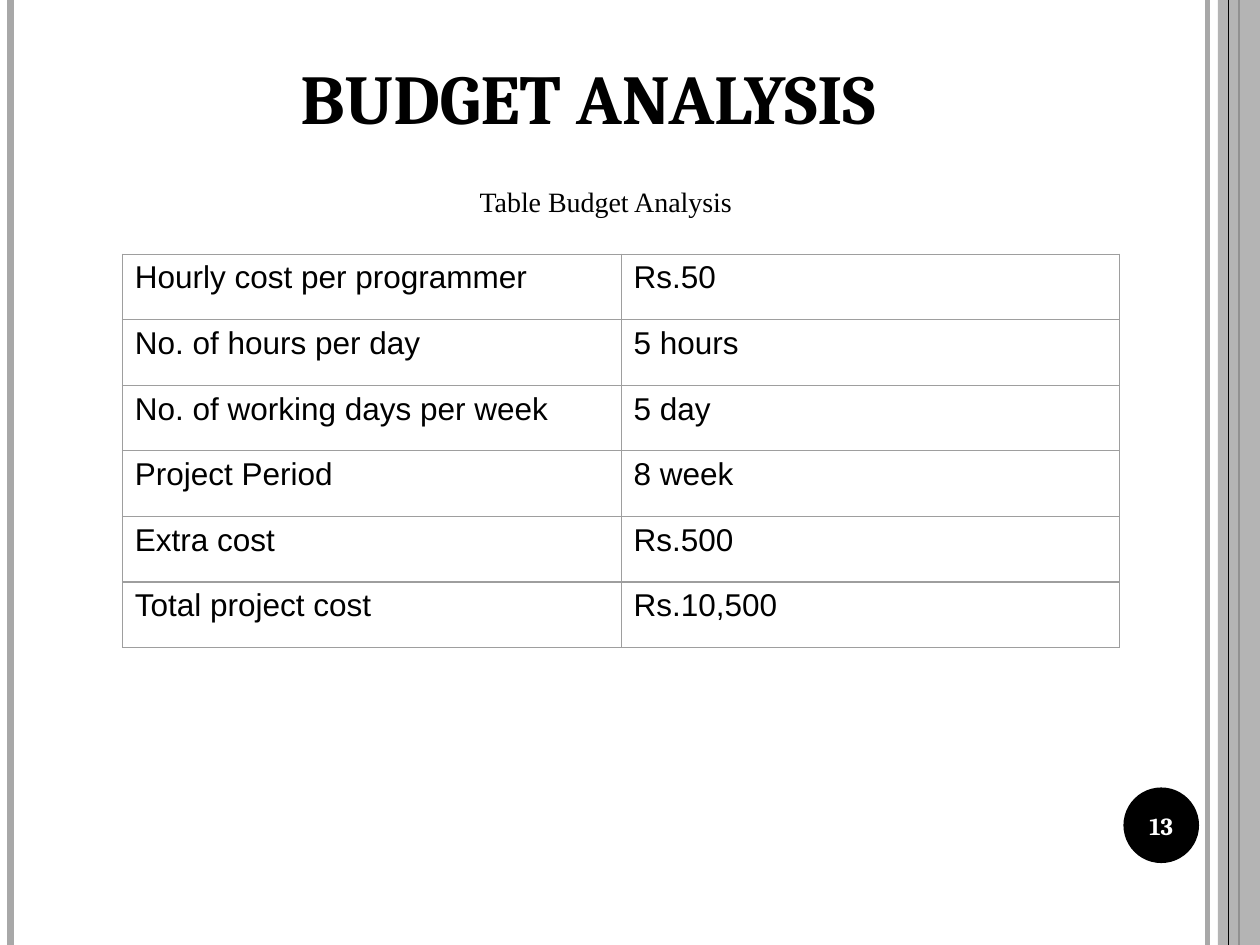
from dataclasses import dataclass

from lxml import etree
from pptx import Presentation
from pptx.dml.color import RGBColor
from pptx.enum.shapes import MSO_CONNECTOR, MSO_SHAPE
from pptx.enum.text import MSO_ANCHOR, PP_ALIGN
from pptx.oxml.ns import qn
from pptx.util import Inches, Pt

STRAIGHT = MSO_CONNECTOR.STRAIGHT
RECTANGLE, OVAL = MSO_SHAPE.RECTANGLE, MSO_SHAPE.OVAL
TOP, MIDDLE, BOTTOM = MSO_ANCHOR.TOP, MSO_ANCHOR.MIDDLE, MSO_ANCHOR.BOTTOM
CENTER = PP_ALIGN.CENTER

COLUMNS, ROWS = 120, 90
BUDGET = [
    ("Hourly cost per programmer", "Rs.50"),
    ("No. of hours per day", "5 hours"),
    ("No. of working days per week", "5 day"),
    ("Project Period", "8 week"),
    ("Extra cost", "Rs.500"),
    ("Total project cost", "Rs.10,500"),
]


@dataclass(frozen=True)
class Theme:
    """Colours, fonts and type sizes of the deck."""
    ink: str = "000000"
    paper: str = "FFFFFF"
    band: str = "A8A8A8"
    grid: str = "9E9E9E"
    heading_font: str = "Cambria"
    caption_font: str = "Times New Roman"
    body_font: str = "Arial"
    title_size: int = 40
    body_size: int = 18
    caption_size: int = 16
    number_size: int = 14


class SlideBuilder:
    """Places styled elements on a slide by grid columns and rows."""

    def __init__(self, presentation, theme):
        """Start a title-only slide."""
        self.theme = theme
        self.column = presentation.slide_width / COLUMNS
        self.row = presentation.slide_height / ROWS
        self.slide = presentation.slides.add_slide(presentation.slide_layouts[5])
        fill = self.slide.background.fill
        fill.solid()
        fill.fore_color.rgb = RGBColor.from_string(theme.paper)

    def box(self, left, top, width, height):
        """Convert grid units to slide lengths."""
        return (round(left * self.column), round(top * self.row),
                round(width * self.column), round(height * self.row))

    def set_text(self, text_frame, text, font, size, color, bold=False, align=None):
        """Set a text and format its run."""
        text_frame.text = text
        paragraph = text_frame.paragraphs[0]
        paragraph.alignment = align
        style = paragraph.runs[0].font
        style.name, style.size, style.bold = font, Pt(size), bold
        style.color.rgb = RGBColor.from_string(color)

    def rule(self, column, color, weight):
        """Draw a vertical line over the full height."""
        left, top, _, height = self.box(column, 0, 0, ROWS)
        line = self.slide.shapes.add_connector(STRAIGHT, left, top, left, height)
        line.line.color.rgb = RGBColor.from_string(color)
        line.line.width = Pt(weight)
        etree.SubElement(line.element.spPr, qn("a:effectLst"))

    def shape(self, kind, box, color, opacity=100):
        """Draw a filled shape without outline."""
        shape = self.slide.shapes.add_shape(kind, *self.box(*box))
        shape.shadow.inherit = False
        shape.fill.solid()
        shape.fill.fore_color.rgb = RGBColor.from_string(color)
        shape.line.fill.background()
        if opacity < 100:
            fill_color = shape.element.spPr.find(".//" + qn("a:srgbClr"))
            etree.SubElement(fill_color, qn("a:alpha"), val=str(opacity * 1000))

    def title(self, text, box):
        """Move and fill the title placeholder."""
        title = self.slide.shapes.title
        title.left, title.top, title.width, title.height = self.box(*box)
        title.text_frame.vertical_anchor = BOTTOM
        self.set_text(title.text_frame, text, self.theme.heading_font,
                      self.theme.title_size, self.theme.ink, True, CENTER)

    def text(self, text, box, font, size, color, bold=False, anchor=TOP, inset=0.05):
        """Add a centred text box."""
        text_frame = self.slide.shapes.add_textbox(*self.box(*box)).text_frame
        text_frame.word_wrap = True
        text_frame.vertical_anchor = anchor
        text_frame.margin_top = text_frame.margin_bottom = Inches(inset)
        self.set_text(text_frame, text, font, size, color, bold, CENTER)

    def table(self, records, box):
        """Add a plain bordered table."""
        shape = self.slide.shapes.add_table(
            len(records), len(records[0]), *self.box(*box))
        table = shape.table
        table.first_row = table.horz_banding = False
        for row, record in enumerate(records):
            for column, text in enumerate(record):
                cell = table.cell(row, column)
                self.set_text(cell.text_frame, text, self.theme.body_font,
                              self.theme.body_size, self.theme.ink)
                self.borders(cell)
                cell.fill.background()

    def borders(self, cell):
        """Outline all four sides of a cell."""
        properties = cell._tc.get_or_add_tcPr()
        for side in ("lnL", "lnR", "lnT", "lnB"):
            line = etree.SubElement(properties, qn("a:" + side), w=str(Pt(0.75)))
            fill = etree.SubElement(line, qn("a:solidFill"))
            etree.SubElement(fill, qn("a:srgbClr"), val=self.theme.grid)


def main():
    """Build and save the budget slide."""
    presentation = Presentation()
    presentation.slide_width, presentation.slide_height = Inches(10), Inches(7.5)
    theme = Theme()
    builder = SlideBuilder(presentation, theme)

    builder.rule(115, theme.band, 3)
    builder.rule(1, theme.band, 4.5)
    builder.rule(118, theme.ink, 1.5)
    builder.shape(RECTANGLE, (116, 0, 4, ROWS), theme.band, opacity=86)
    builder.rule(117, theme.ink, 0.75)
    builder.shape(OVAL, (107, 75, 7.2, 7.2), theme.ink)

    builder.title("BUDGET ANALYSIS", (7, 6.4, 98, 7.4))
    builder.text("13", (106.6, 75.2, 8, 6.8), theme.heading_font,
                 theme.number_size, theme.paper, bold=True, anchor=MIDDLE)
    builder.table(BUDGET, (11.65, 24.2, 95, 6.25 * len(BUDGET)))
    builder.text("Table Budget Analysis", (36, 16.4, 43.4, 5.6),
                 theme.caption_font, theme.caption_size, theme.ink, inset=0.1)
    presentation.save("out.pptx")


if __name__ == "__main__":
    main()
